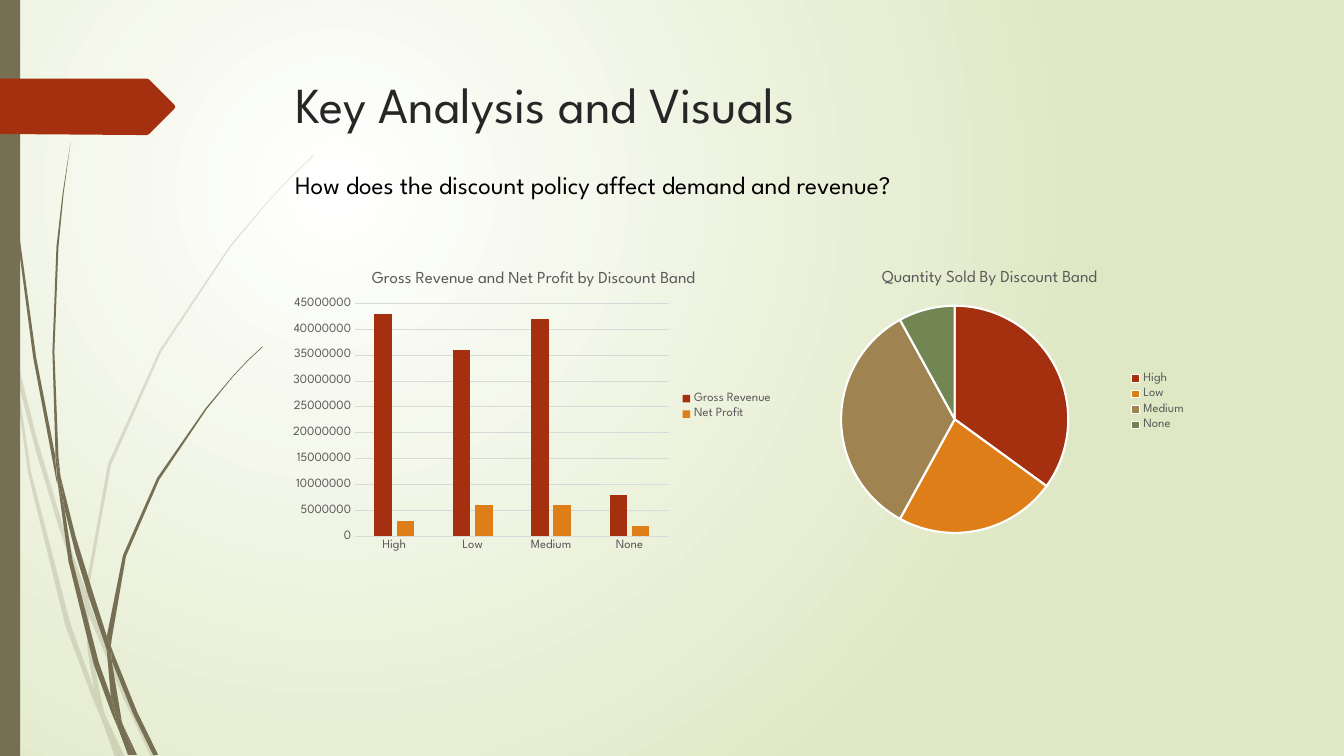
from lxml.etree import SubElement
from pptx import Presentation
from pptx.chart.data import CategoryChartData
from pptx.dml.color import RGBColor
from pptx.enum.chart import XL_CHART_TYPE, XL_LEGEND_POSITION, XL_TICK_MARK
from pptx.enum.shapes import MSO_SHAPE
from pptx.oxml.ns import qn
from pptx.util import Cm, Pt

FONT = "League Spartan"
HEX = {"white": "FFFFFF", "leaf": "DFE8C4", "stem": "766F54", "red": "A53010",
       "gold": "DE7E18", "tan": "9F8351", "green": "728653", "head": "262626",
       "black": "000000", "gray": "595959", "grid": "D9D9D9"}
BANDS = ["High", "Low", "Medium", "None"]
UNIT = Cm(2.54) / 100

PALE = [
    [(11, 350), (9, 322), (0, 282), (0, 299), (10, 344)],
    [(58, 522), (84, 599), (85, 586), (62, 520), (36, 433), (14, 345), (17, 376),
     (36, 449)],
    [(92, 607), (88, 596), (88, 610), (123, 694), (150, 751), (155, 751), (127, 692)],
    [(119, 751), (124, 751), (105, 711)],
    [(93, 683), (70, 619), (31, 469), (17, 376), (11, 350), (28, 470), (65, 621),
     (92, 693), (101, 714), (99, 707)],
    [(84, 599), (87, 646), (93, 683), (96, 692), (105, 711), (103, 706), (91, 646),
     (88, 610), (88, 608)],
    [(88, 584), (110, 462), (160, 349), (229, 245), (268, 198), (290, 175), (312, 154),
     (312, 153), (289, 175), (268, 197), (228, 244), (158, 348), (107, 461), (85, 584),
     (85, 586), (88, 596)],
    [(101, 714), (114, 751), (119, 751)],
    [(88, 608), (88, 610), (88, 596), (85, 586), (84, 599)],
    [(96, 692), (93, 683), (99, 707), (101, 714), (119, 751), (105, 711)],
]
DARK = [
    [(7, 110), (17, 233), (33, 355), (56, 477), (57, 481), (55, 457), (55, 453),
     (36, 355), (19, 232), (8, 109), (5, 48), (4, 0), (3, 0), (4, 48)],
    [(88, 592), (106, 645), (106, 633), (106, 631), (93, 590), (75, 532), (60, 472),
     (64, 505), (75, 549)],
    [(113, 649), (110, 641), (111, 656), (132, 708), (152, 749), (157, 749), (136, 706)],
    [(110, 691), (98, 657), (72, 556), (64, 505), (57, 477), (68, 557), (93, 659),
     (111, 708), (117, 722), (116, 717)],
    [(60, 472), (58, 453), (54, 349), (58, 245), (63, 193), (70, 141), (62, 193),
     (56, 245), (52, 349), (55, 449)],
    [(133, 749), (136, 749), (122, 719)],
    [(57, 477), (64, 505), (60, 472), (55, 449), (55, 453)],
    [(111, 633), (125, 552), (158, 476), (205, 406), (231, 374), (245, 359), (261, 344),
     (260, 344), (245, 358), (231, 373), (204, 405), (156, 474), (122, 551), (106, 631),
     (110, 641)],
    [(117, 722), (127, 749), (131, 749)],
    [(106, 645), (110, 691), (116, 706), (122, 719), (121, 716), (111, 656), (109, 651)],
    [(106, 645), (109, 651), (111, 656), (110, 641), (106, 631), (106, 633)],
    [(116, 706), (110, 691), (116, 717), (117, 722), (130, 749), (133, 749), (122, 719)],
]
ARROW = [(173, 108), (148, 133), (146, 134), (136, 134), (0, 133), (0, 78), (146, 78),
         (148, 79), (173, 104), (174, 106)]


def tint(name):
    """Return the named colour."""
    return RGBColor.from_string(HEX[name])


def paint(fill, name):
    """Make a fill solid in the named colour."""
    fill.solid()
    fill.fore_color.rgb = tint(name)


def style(font, size, name):
    """Set face, size and colour of a font."""
    font.name, font.size, font.color.rgb = FONT, Pt(size), tint(name)


def plain(shape, name):
    """Fill a shape without line or shadow."""
    paint(shape.fill, name)
    shape.line.fill.background()
    shape.shadow.inherit = False


def shade(slide):
    """Lay a round gradient behind the slide."""
    fill = slide.background.fill
    fill.gradient()
    for stop, name in zip(fill.gradient_stops, ("white", "leaf")):
        stop.color.rgb = tint(name)
    line = next(slide.element.iter(qn("a:lin")))
    grad = line.getparent()
    grad.remove(line)
    ring = SubElement(grad, qn("a:path"), path="circle")
    SubElement(ring, qn("a:fillToRect"), l="50000", t="50000", r="100000", b="100000")


def trace(shapes, points, name):
    """Draw a closed outline from points in hundredths of an inch."""
    pen = shapes.build_freeform(*points[0], scale=UNIT)
    pen.add_line_segments(points[1:], close=True)
    shape = pen.convert_to_shape()
    plain(shape, name)
    return shape


def grass(slide, blades, alpha=None):
    """Draw a group of blades, see-through if alpha is given."""
    group = slide.shapes.add_group_shape()
    for blade in blades:
        shape = trace(group.shapes, blade, "stem")
        if alpha:
            color = next(shape.element.iter(qn("a:srgbClr")))
            SubElement(color, qn("a:alpha"), val=str(alpha * 1000))


def write(slide, box, text, size, name):
    """Add a line of text."""
    frame = slide.shapes.add_textbox(*map(Cm, box)).text_frame
    frame.word_wrap = True
    frame.text = text
    style(frame.paragraphs[0].font, size, name)


def place(chart, area):
    """Fix the inner plot area as shares of the chart."""
    plot = chart.element.find(".//" + qn("c:plotArea"))
    for old in plot.findall(qn("c:layout")):
        plot.remove(old)
    lay = SubElement(plot, qn("c:layout"))
    plot.insert(0, lay)
    hand = SubElement(lay, qn("c:manualLayout"))
    parts = [("layoutTarget", "inner"), ("xMode", "edge"), ("yMode", "edge")]
    for key, val in parts + list(zip("xywh", area)):
        SubElement(hand, qn("c:" + key), val=str(val))


def graph(slide, kind, box, title, rows, area):
    """Add a chart with title and legend."""
    data = CategoryChartData()
    data.categories = BANDS
    for name, vals in rows.items():
        data.add_series(name, vals)
    chart = slide.shapes.add_chart(kind, *map(Cm, box), data).chart
    style(chart.font, 10, "black")
    chart.has_title = True
    frame = chart.chart_title.text_frame
    frame.text = title
    style(frame.paragraphs[0].font, 12, "gray")
    frame.paragraphs[0].font.bold = False
    chart.chart_title.include_in_layout = False
    chart.has_legend = True
    chart.legend.position = XL_LEGEND_POSITION.RIGHT
    chart.legend.include_in_layout = False
    style(chart.legend.font, 9, "gray")
    place(chart, area)
    return chart


def bars(slide):
    """Add the money chart."""
    rows = {"Gross Revenue": [43000000, 36000000, 42000000, 8000000],
            "Net Profit": [3000000, 6000000, 6000000, 2000000]}
    chart = graph(slide, XL_CHART_TYPE.COLUMN_CLUSTERED, (7.19, 6.43, 12.55, 7.62),
                  "Gross Revenue and Net Profit by Discount Band", rows,
                  (0.14, 0.16, 0.63, 0.77))
    plot = chart.plots[0]
    plot.gap_width, plot.overlap, plot.vary_by_categories = 219, -27, False
    for row, name in zip(plot.series, ("red", "gold")):
        paint(row.format.fill, name)
    cat, val = chart.category_axis, chart.value_axis
    for axis in (cat, val):
        axis.major_tick_mark = axis.minor_tick_mark = XL_TICK_MARK.NONE
        style(axis.tick_labels.font, 9, "gray")
    for line in (cat.format.line, val.major_gridlines.format.line):
        line.width = Pt(0.75)
        paint(line.fill, "grid")
    val.format.line.fill.background()
    val.minimum_scale, val.maximum_scale, val.major_unit = 0, 45000000, 5000000


def pie(slide):
    """Add the chart of shares sold."""
    chart = graph(slide, XL_CHART_TYPE.PIE, (19.74, 6.43, 10.41, 7.39),
                  "Quantity Sold By Discount Band", {"Series 1": [35, 23, 34, 8]},
                  (0.14, 0.17, 0.55, 0.78))
    chart.plots[0].vary_by_categories = True
    for i, name in enumerate(("red", "gold", "tan", "green")):
        form = chart.plots[0].series[0].points[i].format
        paint(form.fill, name)
        form.line.width = Pt(1.5)
        paint(form.line.fill, "white")


def main():
    """Build and save the slide."""
    deck = Presentation()
    deck.slide_width, deck.slide_height = Cm(33.87), Cm(19.05)
    slide = deck.slides.add_slide(deck.slide_layouts[6])
    shade(slide)
    grass(slide, PALE, 20)
    grass(slide, DARK)
    side = slide.shapes.add_shape(MSO_SHAPE.RECTANGLE, 0, 0, Cm(0.51), Cm(19.05))
    plain(side, "stem")
    trace(slide.shapes, ARROW, "red")
    write(slide, (7.21, 1.73, 24.77, 3.56), "Key Analysis and Visuals", 36, "head")
    bars(slide)
    write(slide, (7.19, 4.14, 16.94, 1.8),
          "How does the discount policy affect demand and revenue?", 18, "black")
    pie(slide)
    deck.save("out.pptx")


if __name__ == "__main__":
    main()
